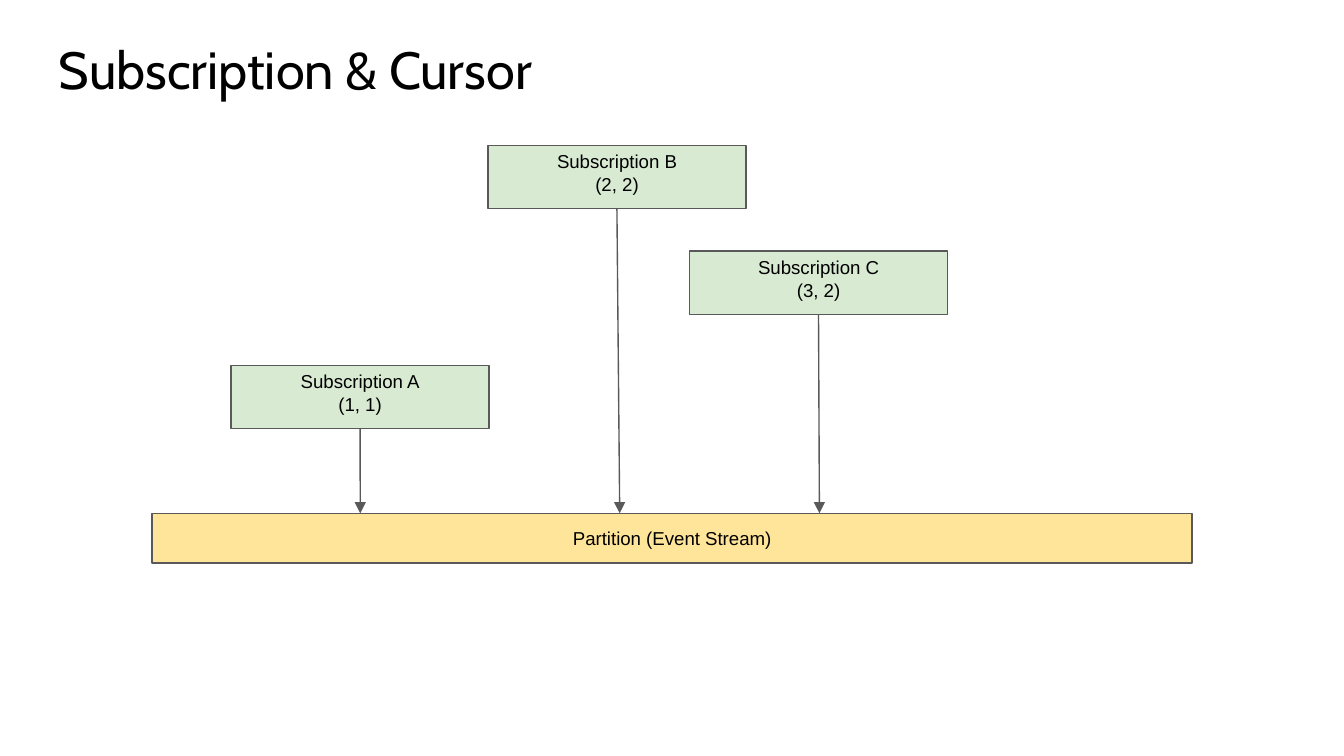
from dataclasses import dataclass

from lxml import etree
from pptx import Presentation
from pptx.dml.color import RGBColor
from pptx.enum.shapes import MSO_CONNECTOR, MSO_SHAPE
from pptx.enum.text import MSO_ANCHOR, PP_ALIGN
from pptx.oxml.ns import qn
from pptx.util import Pt

RECT = MSO_SHAPE.RECTANGLE
STRAIGHT = MSO_CONNECTOR.STRAIGHT
TOP, MIDDLE, BOTTOM = MSO_ANCHOR.TOP, MSO_ANCHOR.MIDDLE, MSO_ANCHOR.BOTTOM
LEFT, CENTER = PP_ALIGN.LEFT, PP_ALIGN.CENTER
BOTTOM_SIDE = 2


@dataclass(frozen=True)
class Theme:
    """Hold the colours, fonts and sizes of the slide."""
    ink: RGBColor = RGBColor(0, 0, 0)
    line: RGBColor = RGBColor.from_string("595959")
    green: RGBColor = RGBColor.from_string("D9EAD3")
    yellow: RGBColor = RGBColor.from_string("FFE599")
    head: str = "Cabin"
    body: str = "Arial"
    title: float = 28
    label: float = 10
    stroke: float = 0.75


THEME = Theme()
BOX_W, BOX_H = 138.2, 33.8
BAR_TOP = 275
CURSORS = [
    ("Subscription A\n(1, 1)", 123.8, 195.8, 193),
    ("Subscription B\n(2, 2)", 261.4, 77.8, 332),
    ("Subscription C\n(3, 2)", 369.4, 134.6, 439),
]


def set_text(shape, text, font, size, align, anchor):
    """Write text into a shape and format it."""
    frame = shape.text_frame
    frame.word_wrap = True
    frame.vertical_anchor = anchor
    frame.margin_left = frame.margin_right = Pt(7.2)
    frame.margin_top = frame.margin_bottom = Pt(7.2)
    frame.text = text
    for para in frame.paragraphs:
        para.alignment = align
        para.font.name = font
        para.font.size = Pt(size)
        para.font.color.rgb = THEME.ink


def add_title(slide, text):
    """Add the slide title."""
    box = slide.shapes.add_textbox(Pt(24.5), Pt(13), Pt(671), Pt(45.4))
    set_text(box, text, THEME.head, THEME.title, LEFT, TOP)


def add_box(slide, text, left, top, width, height, fill, anchor):
    """Add an outlined rectangle with a centred label."""
    box = slide.shapes.add_shape(RECT, Pt(left), Pt(top), Pt(width), Pt(height))
    box.shadow.inherit = False
    box.fill.solid()
    box.fill.fore_color.rgb = fill
    box.line.color.rgb = THEME.line
    box.line.width = Pt(THEME.stroke)
    set_text(box, text, THEME.body, THEME.label, CENTER, anchor)
    return box


def add_arrow(slide, box, x, y):
    """Add an arrow from the bottom of a box to a point."""
    arrow = slide.shapes.add_connector(STRAIGHT, Pt(x), Pt(y), Pt(x), Pt(y))
    arrow.begin_connect(box, BOTTOM_SIDE)
    arrow.line.color.rgb = THEME.line
    arrow.line.width = Pt(THEME.stroke)
    props = arrow.element.spPr
    etree.SubElement(props.find(qn("a:ln")), qn("a:tailEnd"), type="triangle")
    etree.SubElement(props, qn("a:effectLst"))


def main():
    """Build the slide and save it."""
    deck = Presentation()
    deck.slide_width, deck.slide_height = Pt(720), Pt(405)
    slide = deck.slides.add_slide(deck.slide_layouts[6])
    add_title(slide, "Subscription & Cursor")
    add_box(slide, "Partition (Event Stream)", 81.4, BAR_TOP, 557.3, 26.7,
            THEME.yellow, MIDDLE)
    for text, left, top, tip in CURSORS:
        box = add_box(slide, text, left, top, BOX_W, BOX_H, THEME.green, BOTTOM)
        add_arrow(slide, box, tip, BAR_TOP)
    deck.save("out.pptx")


if __name__ == "__main__":
    main()
